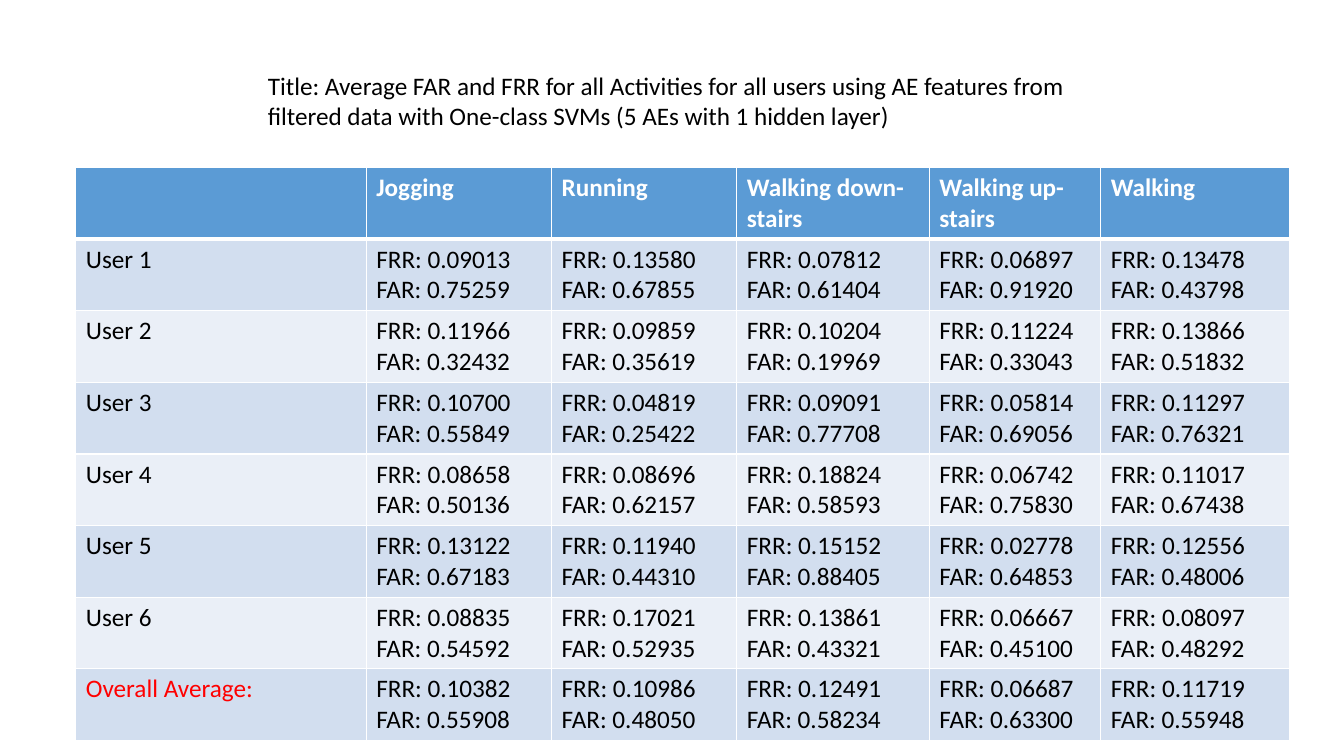
from lxml import etree
from pptx import Presentation
from pptx import util as u
from pptx.dml.color import RGBColor
from pptx.oxml.ns import qn

TITLE = ("Title: Average FAR and FRR for all Activities for all users using AE features "
         "from filtered data with One-class SVMs (5 AEs with 1 hidden layer)")
ACTIVITIES = ["Jogging", "Running", "Walking down-stairs", "Walking up-stairs", "Walking"]
# One (FRR, FAR) pair per activity
RATES = {
    "User 1": [("0.09013", "0.75259"), ("0.13580", "0.67855"), ("0.07812", "0.61404"),
               ("0.06897", "0.91920"), ("0.13478", "0.43798")],
    "User 2": [("0.11966", "0.32432"), ("0.09859", "0.35619"), ("0.10204", "0.19969"),
               ("0.11224", "0.33043"), ("0.13866", "0.51832")],
    "User 3": [("0.10700", "0.55849"), ("0.04819", "0.25422"), ("0.09091", "0.77708"),
               ("0.05814", "0.69056"), ("0.11297", "0.76321")],
    "User 4": [("0.08658", "0.50136"), ("0.08696", "0.62157"), ("0.18824", "0.58593"),
               ("0.06742", "0.75830"), ("0.11017", "0.67438")],
    "User 5": [("0.13122", "0.67183"), ("0.11940", "0.44310"), ("0.15152", "0.88405"),
               ("0.02778", "0.64853"), ("0.12556", "0.48006")],
    "User 6": [("0.08835", "0.54592"), ("0.17021", "0.52935"), ("0.13861", "0.43321"),
               ("0.06667", "0.45100"), ("0.08097", "0.48292")],
    "Overall Average:": [("0.10382", "0.55908"), ("0.10986", "0.48050"), ("0.12491", "0.58234"),
                         ("0.06687", "0.63300"), ("0.11719", "0.55948")],
}
COLORS = {"header": "5B9BD5", "odd": "D2DEEF", "even": "EAEFF7",
          "white": "FFFFFF", "text": "000000", "average": "FF0000"}
COL_WIDTHS = [7.32, 4.67, 4.67, 4.85, 4.32, 4.75]
ROW_HEIGHT = 1.78


def format_text(tf, color, bold=False):
    """Apply the slide font to every run in a text frame."""
    for p in tf.paragraphs:
        for r in p.runs:
            r.font.name, r.font.size, r.font.bold = "Calibri", u.Pt(18), bold
            r.font.color.rgb = RGBColor.from_string(COLORS[color])


def set_borders(cell, top, bottom):
    """Draw white cell borders, 1 pt wide at the sides."""
    tc_pr = cell._tc.get_or_add_tcPr()
    sides = {"a:lnL": 1, "a:lnR": 1, "a:lnT": top, "a:lnB": bottom}
    for i, (tag, width) in enumerate(sides.items()):
        ln = etree.Element(qn(tag), w=str(u.Pt(width)))
        fill = etree.SubElement(ln, qn("a:solidFill"))
        etree.SubElement(fill, qn("a:srgbClr"), val=COLORS["white"])
        tc_pr.insert(i, ln)


def add_rates_table(s):
    """Add the table of error rates by user and activity."""
    rows = [[""] + ACTIVITIES]
    rows += [[user] + [f"FRR: {frr}\nFAR: {far}" for frr, far in pairs]
             for user, pairs in RATES.items()]
    table = s.shapes.add_table(len(rows), len(COL_WIDTHS), u.Cm(1.91), u.Cm(4.22),
                               u.Cm(sum(COL_WIDTHS)), u.Cm(ROW_HEIGHT * len(rows))).table
    for col, width in zip(table.columns, COL_WIDTHS):
        col.width = u.Cm(width)
    for i, values in enumerate(rows):
        table.rows[i].height = u.Cm(ROW_HEIGHT)
        header = i == 0
        band = "header" if header else "odd" if i % 2 else "even"
        for j, value in enumerate(values):
            cell = table.cell(i, j)
            cell.text_frame.text = value
            color = ("white" if header else
                     "average" if value == "Overall Average:" else "text")
            format_text(cell.text_frame, color, bold=header)
            cell.fill.solid()
            cell.fill.fore_color.rgb = RGBColor.from_string(COLORS[band])
            set_borders(cell, top=3 if i == 1 else 1, bottom=3 if header else 1)


def add_title(s):
    """Add the wrapped title above the table."""
    tf = s.shapes.add_textbox(u.Cm(6.5), u.Cm(1.65), u.Cm(20.65), u.Cm(1.8)).text_frame
    tf.word_wrap = True
    tf.text = TITLE
    format_text(tf, "text")


prs = Presentation()
prs.slide_width, prs.slide_height = u.Cm(33.87), u.Cm(19.05)
s = prs.slides.add_slide(prs.slide_layouts[6])
add_rates_table(s)
add_title(s)
prs.save("out.pptx")
